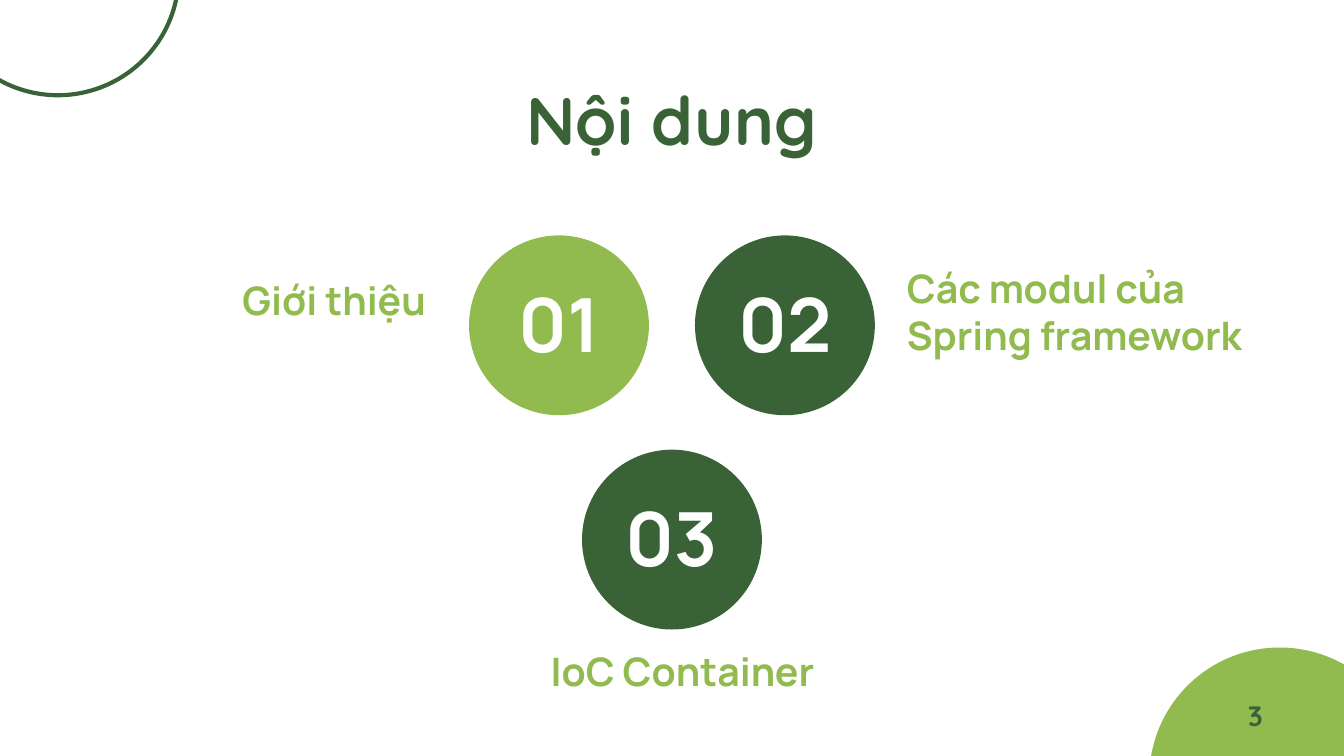
import pptx
import pptx.util
import pptx.dml.color
import pptx.enum.shapes
import pptx.enum.text

Cm = pptx.util.Cm
Pt = pptx.util.Pt
RGB = pptx.dml.color.RGBColor
ALIGN = pptx.enum.text.PP_ALIGN
ANCHOR = pptx.enum.text.MSO_ANCHOR

DARK = RGB(0x39, 0x63, 0x36)
LIME = RGB(0x91, 0xBA, 0x4F)
WHITE = RGB(0xFF, 0xFF, 0xFF)

HEAD = dict(name="Quicksand", size=Pt(36), color=DARK)
NUM = dict(name="Manrope", size=Pt(40), color=WHITE)
ITEM = dict(name="Manrope", size=Pt(21), color=LIME)
PAGE = dict(name="Quicksand", size=Pt(15), color=DARK)

WIDE, HIGH = 25.4, 14.29
DISC, GAP = 3.4, 0.87
MID = WIDE / 2
TOP, LOW = 4.45, 8.5
INSET = 0.25

TOPICS = [
    ("01", LIME, (MID - GAP / 2 - DISC, TOP),
     "Giới thiệu", (1.85, 4.98, 6.45, 1.6), ALIGN.RIGHT),
    ("02", DARK, (MID + GAP / 2, TOP),
     "Các modul của Spring framework", (16.89, 4.75, 7.39, 1.6), ALIGN.LEFT),
    ("03", DARK, (MID - DISC / 2, LOW),
     "IoC Container", (8.81, 11.99, 6.83, 1.6), ALIGN.RIGHT),
]


def disc(left, top, size, fill=None, line=None):
    oval = slide.shapes.add_shape(
        pptx.enum.shapes.MSO_SHAPE.OVAL, Cm(left), Cm(top), Cm(size), Cm(size))
    oval.shadow.inherit = False
    if fill is None:
        oval.fill.background()
    else:
        oval.fill.solid()
        oval.fill.fore_color.rgb = fill
    if line is None:
        oval.line.fill.background()
    else:
        oval.line.color.rgb = line
        oval.line.width = Pt(2.25)


def label(text, box, style, align, anchor=ANCHOR.TOP, left=INSET):
    frame = slide.shapes.add_textbox(*map(Cm, box)).text_frame
    form = dict(word_wrap=True, vertical_anchor=anchor, margin_left=Cm(left),
                margin_right=Cm(INSET), margin_top=Cm(INSET),
                margin_bottom=Cm(INSET))
    for key, value in form.items():
        setattr(frame, key, value)
    para = frame.paragraphs[0]
    para.alignment = align
    run = para.add_run()
    run.text = text
    run.font.bold = True
    for key, value in style.items():
        if key == "color":
            run.font.color.rgb = value
        else:
            setattr(run.font, key, value)


deck = pptx.Presentation()
deck.slide_width, deck.slide_height = Cm(WIDE), Cm(HIGH)
slide = deck.slides.add_slide(deck.slide_layouts[6])

disc(-1.19, -2.77, 4.57, line=DARK)
disc(21.72, 12.24, 4.93, fill=LIME)
label("Nội dung", (0.86, 1.24, 23.67, 1.6), HEAD, ALIGN.CENTER)

for num, fill, (left, top), text, box, align in TOPICS:
    disc(left, top, DISC, fill=fill)
    label(num, (left + 0.08, top + 0.66, DISC - 0.16, 1.98),
          NUM, ALIGN.CENTER, ANCHOR.MIDDLE)
    label(text, box, ITEM, align)

label("3", (23.24, 12.95, 1.07, 0.79), PAGE, ALIGN.LEFT, left=0.35)

deck.save("out.pptx")
